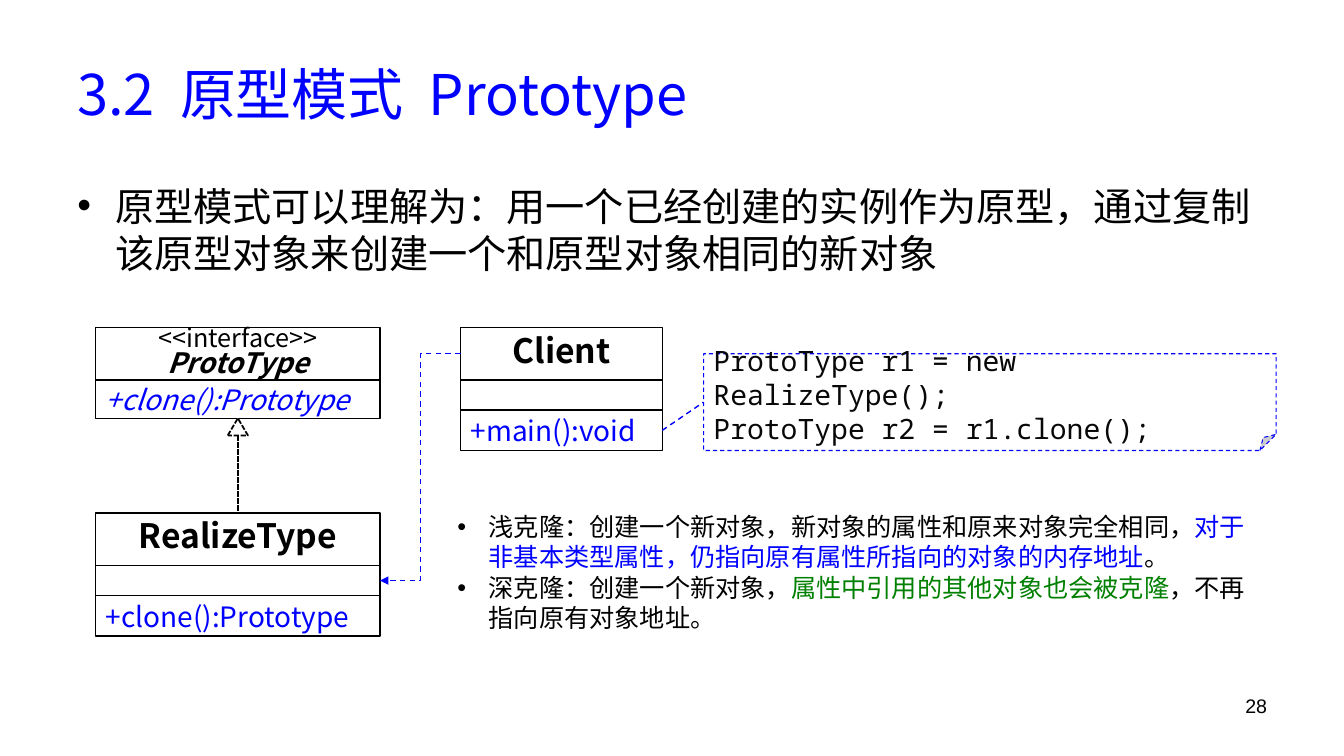
"""Build the slide on the prototype pattern with its class diagram."""
from lxml import etree
from pptx import Presentation
from pptx.dml.color import RGBColor
from pptx.enum.dml import MSO_LINE
from pptx.enum.shapes import MSO_CONNECTOR, MSO_SHAPE
from pptx.enum.text import MSO_ANCHOR, MSO_AUTO_SIZE, PP_ALIGN
from pptx.oxml.ns import qn
from pptx.util import Inches, Pt

LEFT, CENTER, RIGHT = PP_ALIGN.LEFT, PP_ALIGN.CENTER, PP_ALIGN.RIGHT
TOP, MIDDLE = MSO_ANCHOR.TOP, MSO_ANCHOR.MIDDLE
RECTANGLE, TRIANGLE, NOTE = MSO_SHAPE.RECTANGLE, MSO_SHAPE.ISOSCELES_TRIANGLE, MSO_SHAPE.FOLDED_CORNER
STRAIGHT, ELBOW = MSO_CONNECTOR.STRAIGHT, MSO_CONNECTOR.ELBOW
SOLID, DASH, SHORT_DASH = MSO_LINE.SOLID, MSO_LINE.DASH, MSO_LINE.SQUARE_DOT
NO_FIT = MSO_AUTO_SIZE.NONE

SANS, MONO, NUMBER = "Noto Sans CJK SC", "Noto Sans Mono", "Arial"
BLACK, BLUE, GREEN, WHITE, INK = (
    RGBColor.from_string(value) for value in ("000000", "0000FF", "008000", "FFFFFF", "080808")
)
THEME = {
    "title": {"name": SANS, "size": 40, "color": BLUE},
    "body": {"name": SANS, "size": 28, "color": BLACK},
    "detail": {"name": SANS, "size": 18, "color": BLACK},
    "detail blue": {"name": SANS, "size": 18, "color": BLUE},
    "detail green": {"name": SANS, "size": 18, "color": GREEN},
    "class": {"name": SANS, "size": 24, "color": BLACK, "bold": True},
    "abstract": {"name": SANS, "size": 20, "color": BLACK, "bold": True, "italic": True},
    "method": {"name": SANS, "size": 20, "color": BLUE},
    "abstract method": {"name": SANS, "size": 20, "color": BLUE, "italic": True},
    "code": {"name": MONO, "size": 20, "color": INK},
    "number": {"name": NUMBER, "size": 14, "color": BLACK},
}
LEADING = 1.21
TIGHT = 0.8

presentation = Presentation()
presentation.slide_width, presentation.slide_height = Inches(13.33), Inches(7.5)
COLUMN, ROW = presentation.slide_width / 40, presentation.slide_height / 30
slide = presentation.slides.add_slide(presentation.slide_layouts[1])


def grid(left, top, width, height):
    """Turn grid columns and rows into slide lengths."""
    return int(left * COLUMN), int(top * ROW), int(width * COLUMN), int(height * ROW)


def write(shape, paragraphs, alignment=LEFT, anchor=MIDDLE, spacing=1, bullet=False):
    """Fill a shape with paragraphs, each a list of (text, style) runs."""
    frame = shape.text_frame
    for key, value in {"word_wrap": True, "auto_size": NO_FIT, "vertical_anchor": anchor}.items():
        setattr(frame, key, value)
    for index, runs in enumerate(paragraphs):
        paragraph = frame.add_paragraph() if index else frame.paragraphs[0]
        if bullet:
            properties = paragraph._p.get_or_add_pPr()
            properties.set("marL", str(Inches(0.31)))
            properties.set("indent", str(-Inches(0.31)))
            etree.SubElement(properties, qn("a:buFont"), typeface=NUMBER)
            etree.SubElement(properties, qn("a:buChar"), char="•")
        line_height = Pt(THEME[runs[0][1]]["size"] * LEADING * spacing)
        for key, value in {"alignment": alignment, "space_before": Pt(0), "line_spacing": line_height}.items():
            setattr(paragraph, key, value)
        for text, style in runs:
            run = paragraph.add_run()
            run.text = text
            for key, value in THEME[style].items():
                if key == "color":
                    run.font.color.rgb = value
                else:
                    setattr(run.font, key, Pt(value) if key == "size" else value)
            etree.SubElement(run._r.get_or_add_rPr(), qn("a:ea"), typeface=THEME[style]["name"])


title, body = slide.placeholders
for placeholder, place in ((title, (2, 1.2, 36, 5)), (body, (2, 7, 36, 19.8))):
    placeholder.left, placeholder.top, placeholder.width, placeholder.height = grid(*place)
write(title, [[("3.2  原型模式  Prototype", "title")]])
write(body, [[("原型模式可以理解为：用一个已经创建的实例作为原型，"
               "通过复制该原型对象来创建一个和原型对象相同的新对象", "body")]], anchor=TOP)

page_number = slide.shapes.add_textbox(*grid(28.68, 27.32, 9.33, 2.08))
write(page_number, [[("28", "number")]], RIGHT, TOP)

NAME_ROWS, FIELD_ROWS, METHOD_ROWS = 2.08, 1.2, 1.6
CLASSES = {
    "prototype": (2.85, 13, 8.46, [
        (NAME_ROWS, [[("<<interface>>", "detail")], [("ProtoType", "abstract")]]),
        (1.52, [[("+clone():Prototype", "abstract method")]]),
    ]),
    "realize": (2.85, 20.36, 8.46, [
        (NAME_ROWS, [[("RealizeType", "class")]]),
        (FIELD_ROWS, []),
        (METHOD_ROWS, [[("+clone():Prototype", "method")]]),
    ]),
    "client": (13.71, 13, 6, [
        (NAME_ROWS, [[("Client", "class")]]),
        (FIELD_ROWS, []),
        (METHOD_ROWS, [[("+main():void", "method")]]),
    ]),
}
outlines = []
boxes = {}
for class_name, (left, top, width, sections) in CLASSES.items():
    boxes[class_name] = []
    for index, (height, paragraphs) in enumerate(sections):
        box = slide.shapes.add_shape(RECTANGLE, *grid(left, top, width, height))
        header = index == 0
        write(box, paragraphs, CENTER if header else LEFT, spacing=TIGHT if header else 1)
        boxes[class_name].append(box)
        outlines.append((box, BLACK, 1, SOLID))
        top += height

arrowhead = slide.shapes.add_shape(TRIANGLE, *grid(6.78, 16.6, 0.6, 0.68))
code_note = slide.shapes.add_shape(NOTE, *grid(20.94, 14.04, 17.04, 3.84))
write(code_note, [[("ProtoType r1 = new RealizeType();", "code")],
                  [("ProtoType r2 = r1.clone();", "code")]])
outlines += [(arrowhead, BLACK, 1.25, SHORT_DASH), (code_note, BLUE, 0.75, DASH)]
for shape, color, width, dash in outlines:
    shape.shadow.inherit = False
    shape.fill.solid()
    shape.fill.fore_color.rgb = WHITE
    shape.line.color.rgb = color
    shape.line.width = Pt(width)
    shape.line.dash_style = dash

RELATIONS = [
    (STRAIGHT, arrowhead, 3, boxes["realize"][0], 0, BLACK, 1.25, SHORT_DASH, False),
    (ELBOW, boxes["client"][0], 1, boxes["realize"][1], 3, BLUE, 1, DASH, True),
    (STRAIGHT, boxes["client"][2], 3, code_note, 1, BLUE, 1, DASH, False),
]
SITES = {0: (0.5, 0), 1: (0, 0.5), 3: (1, 0.5)}
for kind, source, source_site, target, target_site, color, width, dash, arrow in RELATIONS:
    ends = []
    for shape, site in ((source, source_site), (target, target_site)):
        across, down = (0.5, 1) if shape is arrowhead else SITES[site]
        ends += [int(shape.left + across * shape.width), int(shape.top + down * shape.height)]
    connector = slide.shapes.add_connector(kind, *ends)
    if source is not arrowhead:
        connector.begin_connect(source, source_site)
    connector.end_connect(target, target_site)
    connector.line.color.rgb = color
    connector.line.width = Pt(width)
    connector.line.dash_style = dash
    if arrow:
        etree.SubElement(connector.line._get_or_add_ln(), qn("a:tailEnd"), type="triangle")
    etree.SubElement(connector._element.spPr, qn("a:effectLst"))

clone_kinds = slide.shapes.add_textbox(*grid(13.32, 20.08, 24.66, 5.24))
write(clone_kinds, [
    [("浅克隆：创建一个新对象，新对象的属性和原来对象完全相同，", "detail"),
     ("对于非基本类型属性，仍指向原有属性所指向的对象的内存地址", "detail blue"),
     ("。", "detail")],
    [("深克隆：创建一个新对象，", "detail"),
     ("属性中引用的其他对象也会被克隆", "detail green"),
     ("，不再指向原有对象地址。", "detail")],
], anchor=TOP, bullet=True)

presentation.save("out.pptx")
